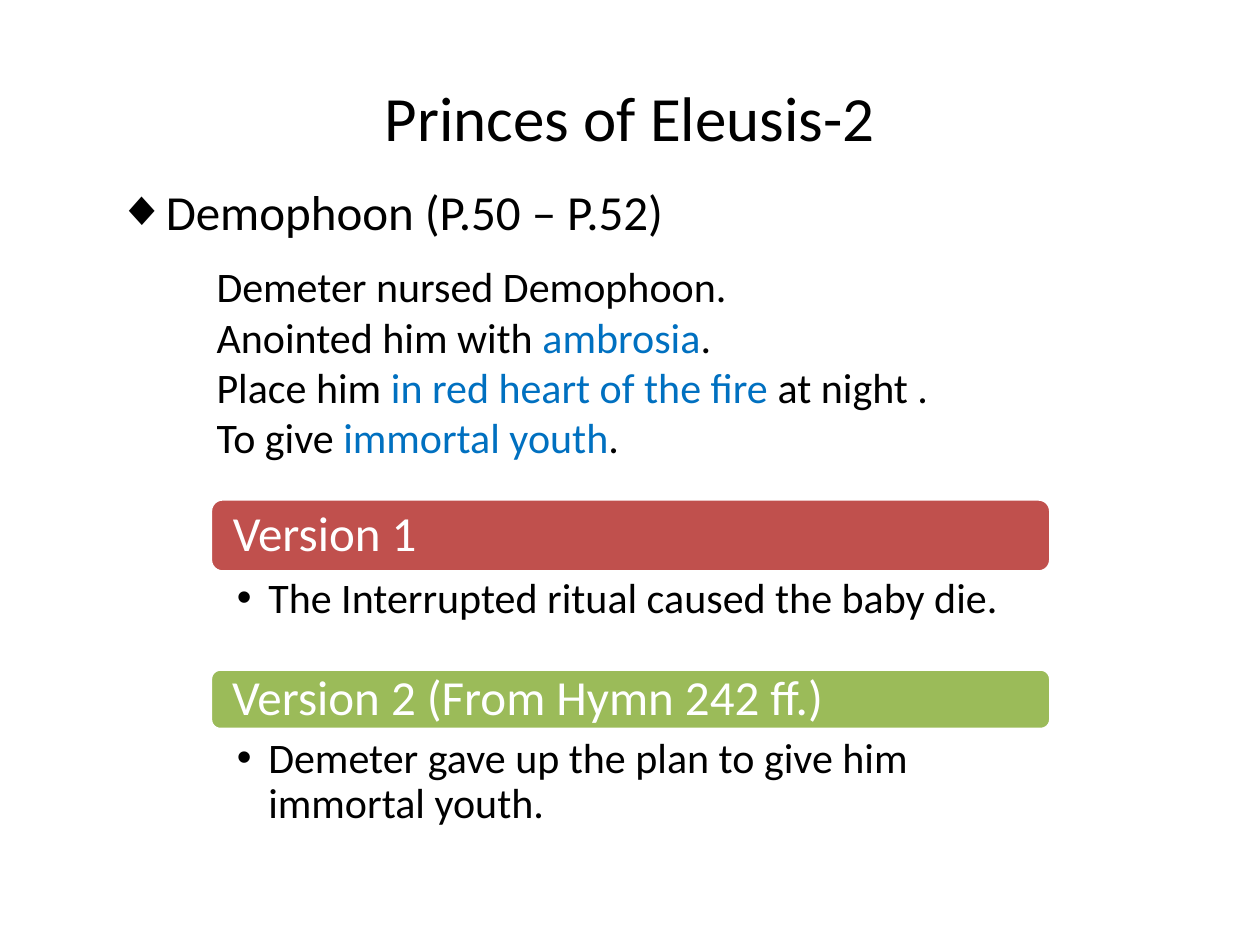
from lxml import etree
from pptx import Presentation
from pptx.dml.color import RGBColor
from pptx.enum import shapes, text
from pptx.oxml.ns import qn
from pptx.util import Inches, Pt

BLACK, WHITE, BLUE = "000000", "FFFFFF", "0070C0"
TITLE = "Princes of Eleusis-2"
TOPIC = "Demophoon (P.50 – P.52)"
STORY = [
    [("Demeter\u00a0nursed Demophoon.", BLACK)],
    [("Anointed him with ", BLACK), ("ambrosia", BLUE), (".", BLACK)],
    [("Place him ", BLACK), ("in red heart of the fire ", BLUE), ("at night .", BLACK)],
    [("To give ", BLACK), ("immortal youth", BLUE), (".", BLACK)],
]
# heading, fill, bar top, bar height, detail top, detail
VERSIONS = [
    ("Version 1", "C0504D", 3.96, 0.58, 4.55,
     "The Interrupted ritual caused the baby die."),
    ("Version 2 (From Hymn 242 ff.)", "9BBB59", 5.31, 0.48, 5.82,
     "Demeter gave up the plan to give him immortal youth."),
]
LEFT, WIDTH, DETAIL_HEIGHT = 1.67, 6.67, 1.16


def rgb(value):
    return RGBColor.from_string(value)


def place(shape, *box):
    for name, value in zip(("left", "top", "width", "height"), box):
        setattr(shape, name, Inches(value))


def add_runs(p, runs, size):
    for words, color in runs:
        r = p.add_run()
        r.text = words
        for name, value in {"name": "Calibri", "size": Pt(size)}.items():
            setattr(r.font, name, value)
        r.font.color.rgb = rgb(color)


def set_bullet(p, char, indent):
    pPr = p._p.get_or_add_pPr()
    pPr.set("marL", str(Inches(indent)))
    pPr.set("indent", str(-Inches(indent)))
    etree.SubElement(pPr, qn("a:buFont")).set("typeface", "Arial")
    etree.SubElement(pPr, qn("a:buChar")).set("char", char)


def set_frame(tf, left, top, right, bottom, anchor):
    tf.word_wrap = True
    tf.vertical_anchor = anchor
    for side, value in zip(("left", "top", "right", "bottom"),
                           (left, top, right, bottom)):
        setattr(tf, "margin_" + side, Inches(value))


def add_version(s, heading, fill, top, height, detail_top, detail):
    bar = s.shapes.add_shape(shapes.MSO_SHAPE.ROUNDED_RECTANGLE, Inches(LEFT),
                             Inches(top), Inches(WIDTH), Inches(height))
    bar.shadow.inherit = False
    bar.fill.solid()
    bar.fill.fore_color.rgb = rgb(fill)
    bar.line.color.rgb = rgb(WHITE)
    bar.line.width = Pt(2)
    set_frame(bar.text_frame, 0.15, 0, 0.15, 0, text.MSO_ANCHOR.MIDDLE)
    p = bar.text_frame.paragraphs[0]
    p.alignment = text.PP_ALIGN.LEFT
    p.line_spacing = 0.9
    add_runs(p, [(heading, WHITE)], 28)

    box = s.shapes.add_textbox(Inches(LEFT), Inches(detail_top),
                               Inches(WIDTH), Inches(DETAIL_HEIGHT))
    set_frame(box.text_frame, 0.21, 0.03, 0.19, 0.03, text.MSO_ANCHOR.TOP)
    p = box.text_frame.paragraphs[0]
    set_bullet(p, "•", 0.25)
    p.line_spacing = 0.9
    add_runs(p, [(detail, BLACK)], 24)


def main():
    prs = Presentation()
    prs.slide_width, prs.slide_height = Inches(10), Inches(7.5)
    s = prs.slides.add_slide(prs.slide_layouts[1])

    title, body = s.placeholders
    place(title, 0.5, 0.3, 9, 1.25)
    add_runs(title.text_frame.paragraphs[0], [(TITLE, BLACK)], 36)

    place(body, 0.83, 1.39, 8.67, 0.71)
    p = body.text_frame.paragraphs[0]
    set_bullet(p, "◆", 0.38)
    p.space_before = Pt(0)
    add_runs(p, [(TOPIC, BLACK)], 28)

    story = s.shapes.add_textbox(Inches(1.62), Inches(2.02), Inches(5.98), Inches(1.89))
    tf = story.text_frame
    tf.word_wrap = True
    for i, runs in enumerate(STORY):
        add_runs(tf.add_paragraph() if i else tf.paragraphs[0], runs, 24)

    for version in VERSIONS:
        add_version(s, *version)
    prs.save("out.pptx")


if __name__ == "__main__":
    main()
